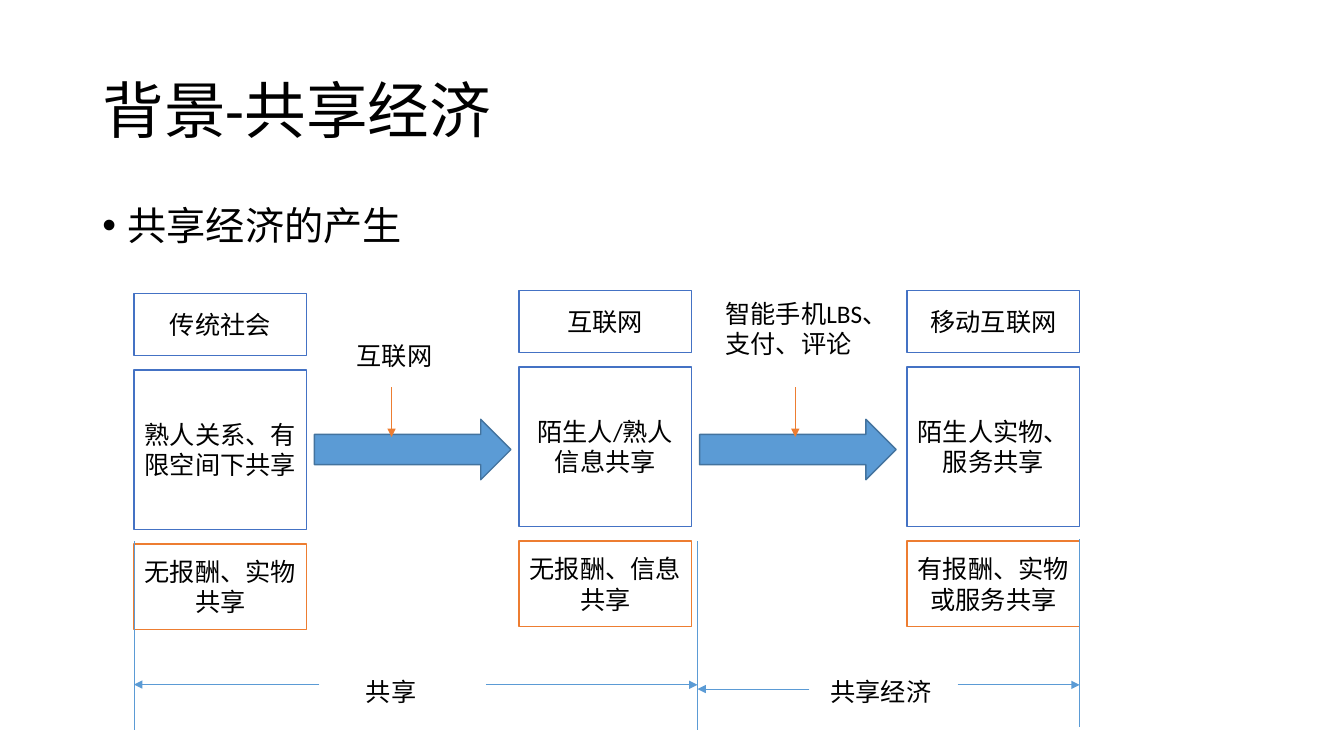
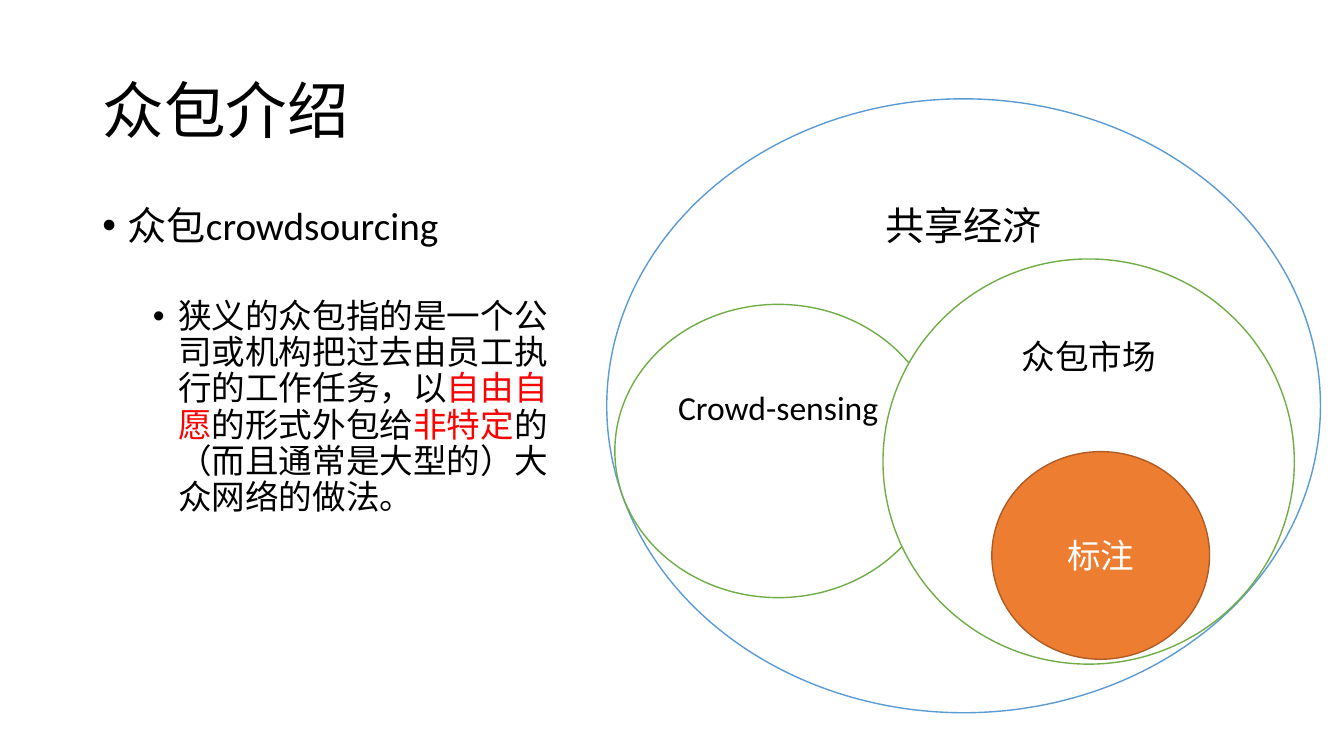
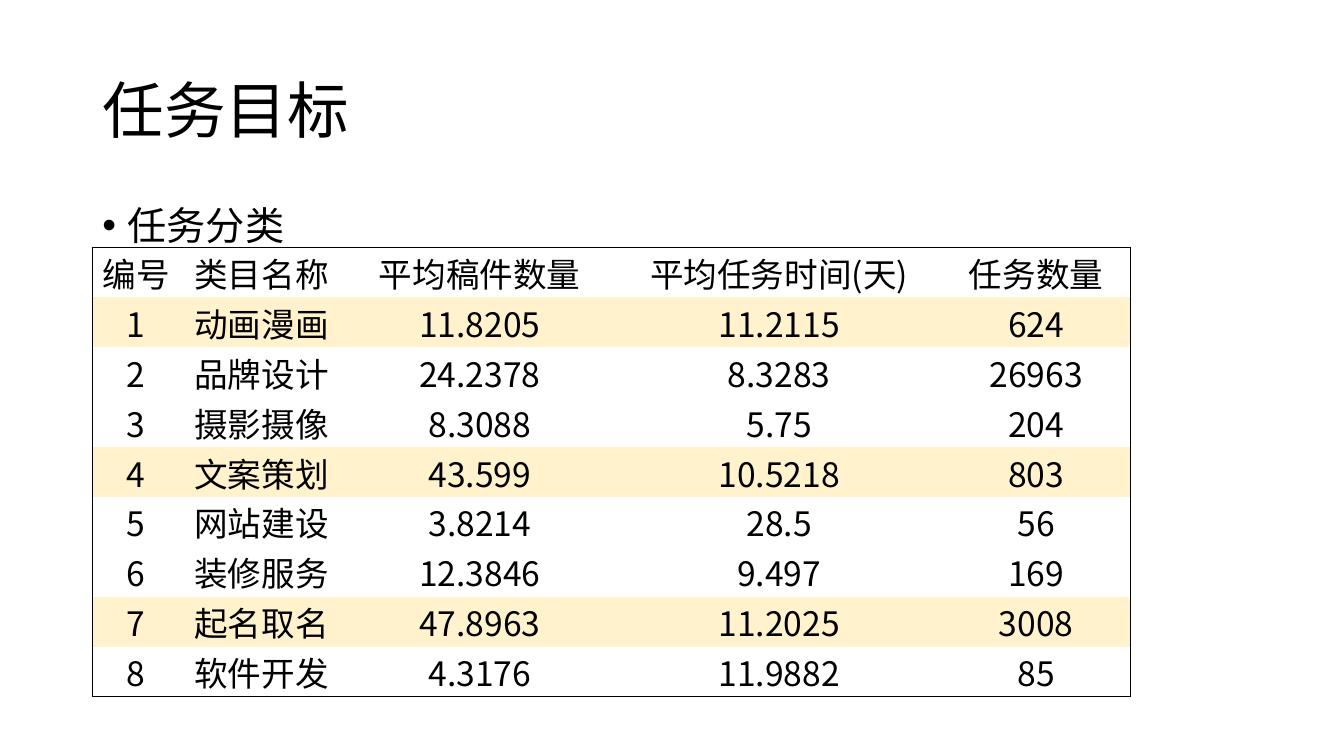
from lxml.etree import SubElement, Element
from pptx import Presentation
from pptx.dml.color import RGBColor
from pptx.enum.shapes import MSO_CONNECTOR as Link, MSO_SHAPE as Preset
from pptx.enum.text import MSO_ANCHOR as Anchor, MSO_AUTO_SIZE as Fit, PP_ALIGN as Align
from pptx.oxml.ns import qn
from pptx.util import Pt

COLOURS = {
    "text": "000000", "paper": "FFFFFF", "blue": "4472C4", "sky": "5B9BD5",
    "sky_edge": "43739E", "orange": "ED7D31", "orange_edge": "AF5C24",
    "green": "70AD47", "red": "FF0000", "cream": "FFF2CC",
}
LATIN, HAN = "Calibri", "Noto Sans CJK SC"
LEFT = 66


def colour(name):
    """Return the named colour."""
    return RGBColor.from_string(COLOURS[name])


def dress(target, **formats):
    """Set every given attribute on the target."""
    for name, value in formats.items():
        setattr(target, name, value)


class Deck:
    """Holds the shared style and the current slide."""

    def __init__(self, width, height):
        """Start an empty deck of the given size."""
        self.show = Presentation()
        dress(self.show, slide_width=Pt(width), slide_height=Pt(height))
        self.page = None

    def add_page(self, title, items, width=828):
        """Add a slide with a title and a bulleted list."""
        self.page = self.show.slides.add_slide(self.show.slide_layouts[1])
        head, body = self.page.placeholders
        self.place(head, LEFT, 28.8, 828, 104.4)
        self.place(body, LEFT, 144, width, 342.7)
        head.text_frame.vertical_anchor = Anchor.MIDDLE
        para = head.text_frame.paragraphs[0]
        self.fill_para(para, title, 44, align=Align.LEFT, spacing=0.9)
        for number, (level, before, spans) in enumerate(items):
            frame = body.text_frame
            para = frame.add_paragraph() if number else frame.paragraphs[0]
            para.level = level
            self.fill_para(para, spans, 24 if level else 28, align=Align.LEFT,
                           spacing=0.9, before=before)
            self.bullet(para, 18 + 36 * level)

    def place(self, box, left, top, width, height):
        """Move and size a placeholder and stop its text from shrinking."""
        dress(box, left=Pt(left), top=Pt(top), width=Pt(width), height=Pt(height))
        dress(box.text_frame, auto_size=Fit.NONE, word_wrap=True)

    def bullet(self, para, indent):
        """Give a paragraph a round bullet with a hanging indent."""
        props = para._p.get_or_add_pPr()
        props.set("marL", str(Pt(indent)))
        props.set("indent", str(-Pt(18)))
        SubElement(props, qn("a:buFont")).set("typeface", "Arial")
        SubElement(props, qn("a:buChar")).set("char", "•")

    def fill_para(self, para, spans, size, tint="text", font=LATIN,
                  align=Align.CENTER, spacing=1.0, before=0):
        """Fill a paragraph with a string or with (text, colour) spans."""
        dress(para, alignment=align, line_spacing=spacing, space_before=Pt(before))
        for text, shade in [(spans, tint)] if isinstance(spans, str) else spans:
            span = para.add_run()
            span.text = text
            dress(span.font, name=font, size=Pt(size), bold=False)
            span.font.color.rgb = colour(shade)

    def shape(self, preset, left, top, width, height, line, fill="paper",
              text="", size=18, tint="text", bottom=3.6):
        """Draw a filled preset shape with centred text."""
        box = self.page.shapes.add_shape(preset, Pt(left), Pt(top), Pt(width), Pt(height))
        box.shadow.inherit = False
        box.fill.solid()
        box.fill.fore_color.rgb = colour(fill)
        box.line.color.rgb = colour(line)
        box.line.width = Pt(1)
        if text:
            dress(box.text_frame, word_wrap=True, vertical_anchor=Anchor.MIDDLE,
                  margin_bottom=Pt(bottom))
            self.fill_para(box.text_frame.paragraphs[0], text, size, tint)

    def label(self, left, top, width, height, *lines, wrap=False):
        """Add a plain text box."""
        box = self.page.shapes.add_textbox(Pt(left), Pt(top), Pt(width), Pt(height))
        frame = box.text_frame
        frame.word_wrap = wrap
        for number, text in enumerate(lines):
            para = frame.add_paragraph() if number else frame.paragraphs[0]
            self.fill_para(para, text, 18, align=Align.LEFT)

    def line(self, x1, y1, x2, y2, tint="sky", arrow=True):
        """Draw a thin line, with an arrowhead at its end if wanted."""
        link = self.page.shapes.add_connector(
            Link.STRAIGHT, Pt(x1), Pt(y1), Pt(x2), Pt(y2))
        link.line.color.rgb = colour(tint)
        link.line.width = Pt(0.5)
        props = link._element.spPr
        if arrow:
            SubElement(props.find(qn("a:ln")), qn("a:tailEnd")).set("type", "triangle")
        SubElement(props, qn("a:effectLst"))

    def table(self, left, top, widths, row_height, rows, marked):
        """Add a framed table with some rows highlighted."""
        count = len(rows)
        grid = self.page.shapes.add_table(
            count, len(widths), Pt(left), Pt(top),
            Pt(sum(widths)), Pt(row_height * count)).table
        dress(grid, first_row=False, horz_banding=False)
        for column, width in zip(grid.columns, widths):
            column.width = Pt(width)
        for r, values in enumerate(rows):
            grid.rows[r].height = Pt(row_height)
            for c, value in enumerate(values):
                cell = grid.cell(r, c)
                dress(cell, vertical_anchor=Anchor.BOTTOM, margin_left=Pt(0.75),
                      margin_right=Pt(0.75), margin_top=Pt(0.75), margin_bottom=0)
                self.fill_para(cell.text_frame.paragraphs[0], value, 24, font=HAN)
                if r in marked:
                    cell.fill.solid()
                    cell.fill.fore_color.rgb = colour("cream")
                else:
                    cell.fill.background()
                self.frame(cell, {"L": c == 0, "R": c == len(widths) - 1,
                                  "T": r == 0, "B": r == count - 1})

    def frame(self, cell, sides):
        """Draw the chosen cell borders and clear the others."""
        for place, (side, drawn) in enumerate(sides.items()):
            edge = Element(qn(f"a:ln{side}"), w=str(Pt(0.5)))
            if drawn:
                fill = SubElement(edge, qn("a:solidFill"))
                SubElement(fill, qn("a:srgbClr")).set("val", COLOURS["text"])
            else:
                SubElement(edge, qn("a:noFill"))
            cell._tc.get_or_add_tcPr().insert(place, edge)


deck = Deck(960, 540)

deck.add_page("背景-共享经济", [(0, 10, "共享经济的产生")])
STAGES = [
    (95.8, 209.5, ("传统社会", "熟人关系、有限空间下共享", "无报酬、实物共享")),
    (370.8, 207.4, ("互联网", "陌生人/熟人信息共享", "无报酬、信息共享")),
    (648, 207.4, ("移动互联网", "陌生人实物、服务共享", "有报酬、实物或服务共享")),
]
for left, top, texts in STAGES:
    for text, height, edge in zip(texts, (44.4, 113.8, 61.2), ("blue", "blue", "orange")):
        deck.shape(Preset.RECTANGLE, left, top, 123.2, height, edge, text=text)
        top += height + 10.4
for left in (224.6, 499.7):
    deck.shape(Preset.RIGHT_ARROW, left, 299.5, 140.4, 43.2, "sky_edge", "sky")
START, MIDDLE, END = 95.8, 498.2, 771.2
for x, top, bottom in ((START, 386.6, 521.3), (MIDDLE, 386.6, 521.3), (END, 385.2, 519.1)):
    deck.line(x, top, x, bottom, arrow=False)
for x in (279.7, 568.1):
    deck.line(x, 276.8, x, 312.1, "orange")
deck.label(254.2, 479.5, 51.1, 28.8, "共享")
deck.label(586.1, 479.5, 90, 28.8, "共享经济")
for x, target, y in ((228.2, START, 489), (347, MIDDLE, 489.2),
                     (684, END, 489.2), (578.2, MIDDLE, 492.2)):
    deck.line(x, y, target, y)
deck.label(247.7, 239.8, 69.1, 28.8, "互联网")
deck.label(511.2, 209.5, 131, 51.1, "智能手机LBS、", "支付、评论", wrap=True)

deck.add_page("众包介绍", [
    (0, 10, "众包crowdsourcing"),
    (1, 36, [
        ("狭义的众包指的是一个公司或机构把过去由员工执行的工作任务，以", "text"),
        ("自由自愿", "red"), ("的形式外包给", "text"), ("非特定", "red"),
        ("的（而且通常是大型的）大众网络的做法。", "text")]),
], width=351.4)
deck.shape(Preset.OVAL, 433.4, 70.6, 509.8, 438.5, "sky", text="共享经济", size=28, bottom=262)
deck.shape(Preset.OVAL, 439.2, 217.4, 233.3, 209.5, "green", text="Crowd-sensing",
           size=24, bottom=66)
deck.shape(Preset.OVAL, 630.7, 185, 293.8, 289.4, "green", text="众包市场", size=24, bottom=154)
deck.shape(Preset.OVAL, 708.5, 322.6, 155.5, 148.3, "orange_edge", "orange", "标注", 24, "paper")

deck.add_page("任务目标", [(0, 10, "任务分类")])
TASKS = [
    ("编号", "类目名称", "平均稿件数量", "平均任务时间(天)", "任务数量"),
    ("1", "动画漫画", "11.8205", "11.2115", "624"),
    ("2", "品牌设计", "24.2378", "8.3283", "26963"),
    ("3", "摄影摄像", "8.3088", "5.75", "204"),
    ("4", "文案策划", "43.599", "10.5218", "803"),
    ("5", "网站建设", "3.8214", "28.5", "56"),
    ("6", "装修服务", "12.3846", "9.497", "169"),
    ("7", "起名取名", "47.8963", "11.2025", "3008"),
    ("8", "软件开发", "4.3176", "11.9882", "85"),
]
deck.table(LEFT, 176.4, (62.6, 116.6, 195.1, 232.6, 134.6), 35.7, TASKS, {1, 4, 7})

deck.show.save("out.pptx")
